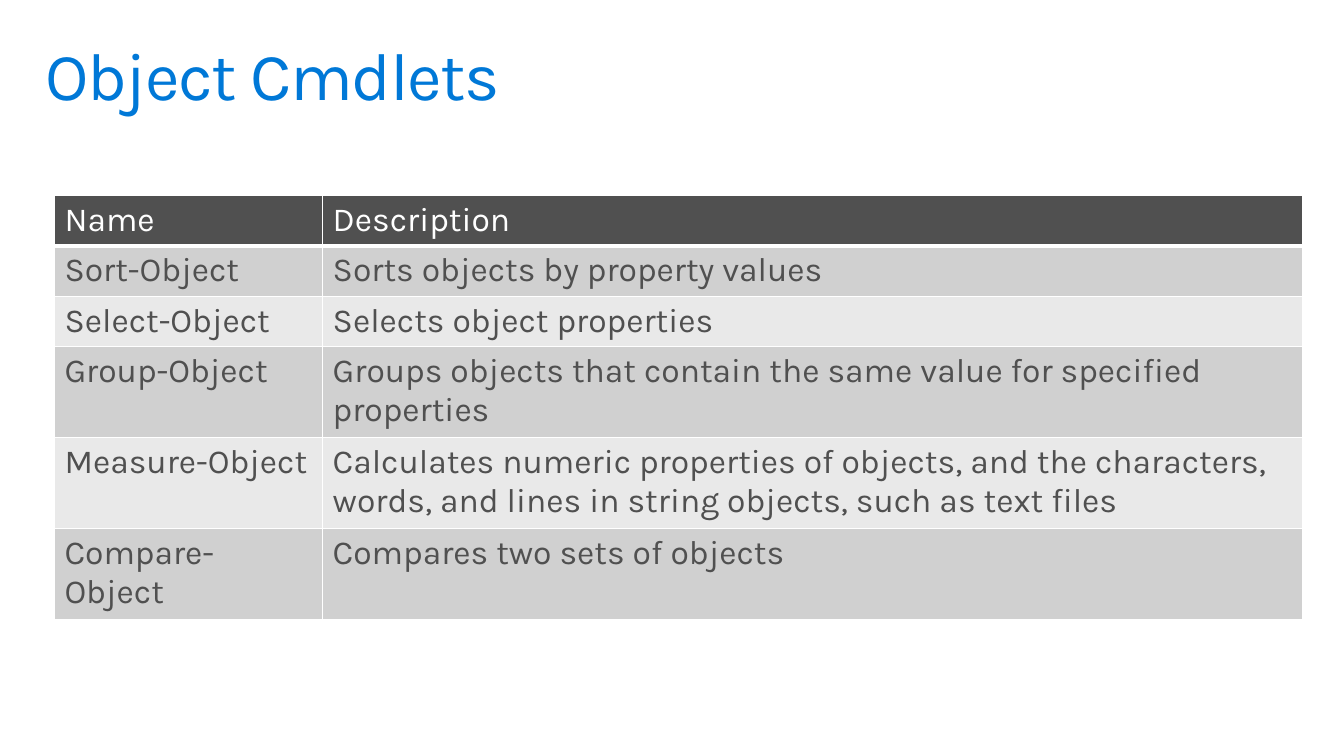
from dataclasses import dataclass

from lxml.etree import SubElement
from pptx import Presentation
from pptx.dml.color import RGBColor
from pptx.oxml.ns import qn
from pptx.slide import Slide
from pptx.table import _Cell
from pptx.text.text import _Paragraph, _Run
from pptx.util import Emu, Pt

FONT = "Karla"
WHITE, BLUE, DARK = "FFFFFF", "0078D7", "505050"
BANDS = ("D0D0D0", "E9E9E9")
COLUMN_WIDTHS = (266, 972)
ROW_HEIGHT = 41


@dataclass(frozen=True)
class Cmdlet:
    name: str
    description: str


HEADER = Cmdlet("Name", "Description")
CMDLETS = (
    Cmdlet("Sort-Object", "Sorts objects by property values"),
    Cmdlet("Select-Object", "Selects object properties"),
    Cmdlet("Group-Object", "Groups objects that contain the same value for specified properties"),
    Cmdlet(
        "Measure-Object",
        "Calculates numeric properties of objects, and the characters, "
        "words, and lines in string objects, such as text files",
    ),
    Cmdlet("Compare-Object", "Compares two sets of objects"),
)


def px(length: int) -> Emu:
    """Turn px, one hundred to the inch, into EMU."""
    return Emu(length * 9144)


def color(value: str) -> RGBColor:
    """Turn a hex string into a colour."""
    return RGBColor.from_string(value)


def add_run(paragraph: _Paragraph, text: str, size: int, text_color: str) -> _Run:
    """Add one styled run to a paragraph."""
    run = paragraph.add_run()
    run.text = text
    run.font.name = FONT
    run.font.size = Pt(size)
    run.font.color.rgb = color(text_color)
    return run


def add_title(slide: Slide, text: str) -> None:
    """Add the slide title with tightened letter spacing."""
    shape = slide.shapes.add_textbox(px(29), px(32), px(1275), px(98))
    frame = shape.text_frame
    frame.word_wrap = True
    frame.margin_left = frame.margin_right = px(16)
    frame.margin_top = frame.margin_bottom = px(10)
    paragraph = frame.paragraphs[0]
    paragraph.line_spacing = 0.9
    run = add_run(paragraph, text, 48, BLUE)
    run.font._element.set("spc", "-100")


def set_borders(cell: _Cell, bottom_width: int) -> None:
    """Draw white borders around a cell."""
    properties = cell._tc.get_or_add_tcPr()
    widths = {"lnL": 1, "lnR": 1, "lnT": 1, "lnB": bottom_width}
    for position, (side, width) in enumerate(widths.items()):
        line = SubElement(properties, qn(f"a:{side}"), w=str(Pt(width)))
        fill = SubElement(line, qn("a:solidFill"))
        SubElement(fill, qn("a:srgbClr"), val=WHITE)
        properties.insert(position, line)


def fill_cell(cell: _Cell, text: str, fill: str, text_color: str, bottom_width: int) -> None:
    """Write and style one table cell."""
    cell.fill.solid()
    cell.fill.fore_color.rgb = color(fill)
    set_borders(cell, bottom_width)
    add_run(cell.text_frame.paragraphs[0], text, 24, text_color)


def add_cmdlet_table(slide: Slide) -> None:
    """Add the header and the banded cmdlet rows."""
    rows = (HEADER, *CMDLETS)
    shape = slide.shapes.add_table(
        len(rows), len(COLUMN_WIDTHS), px(54), px(194), px(sum(COLUMN_WIDTHS)), px(ROW_HEIGHT * len(rows))
    )
    table = shape.table
    for column, width in zip(table.columns, COLUMN_WIDTHS):
        column.width = px(width)
    for index, cmdlet in enumerate(rows):
        table.rows[index].height = px(ROW_HEIGHT)
        if index == 0:
            fill, text_color, bottom_width = DARK, WHITE, 3
        else:
            fill, text_color, bottom_width = BANDS[(index - 1) % 2], DARK, 1
        for column_index, text in enumerate((cmdlet.name, cmdlet.description)):
            fill_cell(table.cell(index, column_index), text, fill, text_color, bottom_width)


def main() -> None:
    """Build and save the slide."""
    presentation = Presentation()
    presentation.slide_width = px(1333)
    presentation.slide_height = px(750)
    slide = presentation.slides.add_slide(presentation.slide_layouts[6])
    add_title(slide, "Object Cmdlets")
    add_cmdlet_table(slide)
    presentation.save("out.pptx")


if __name__ == "__main__":
    main()
